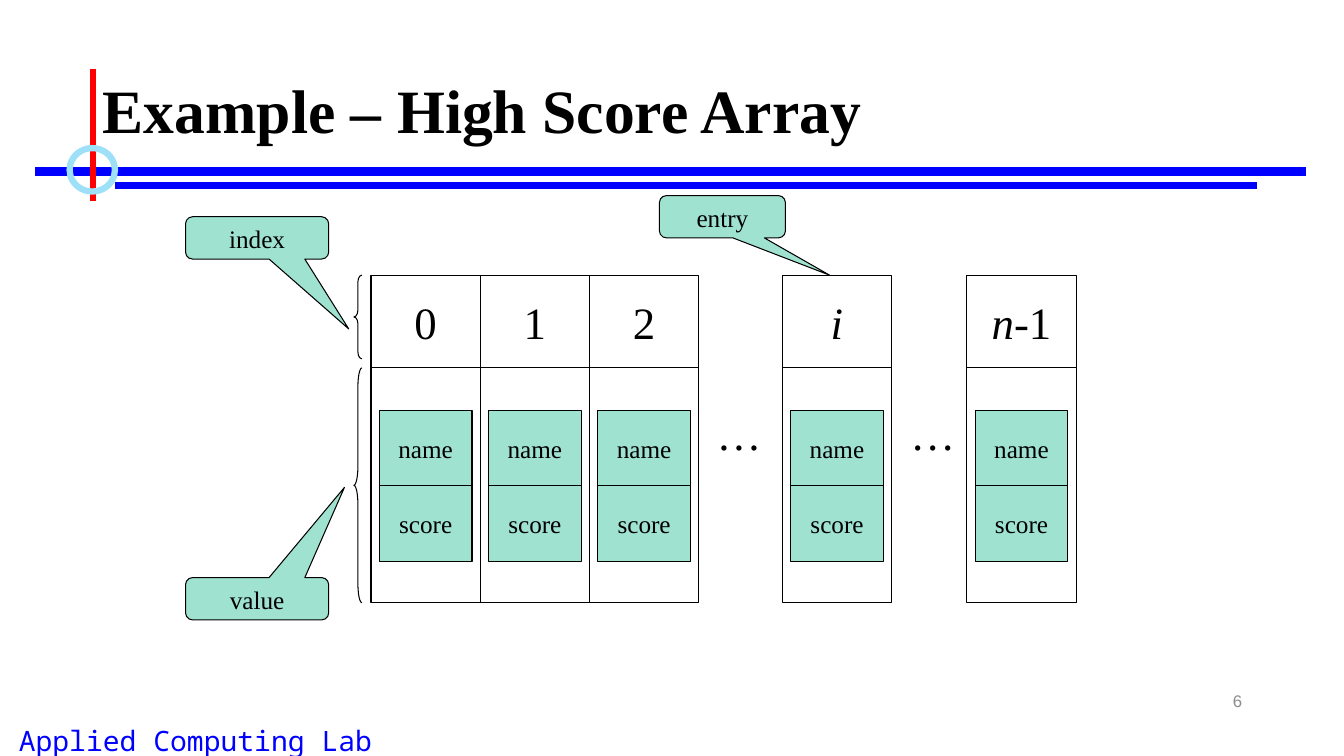
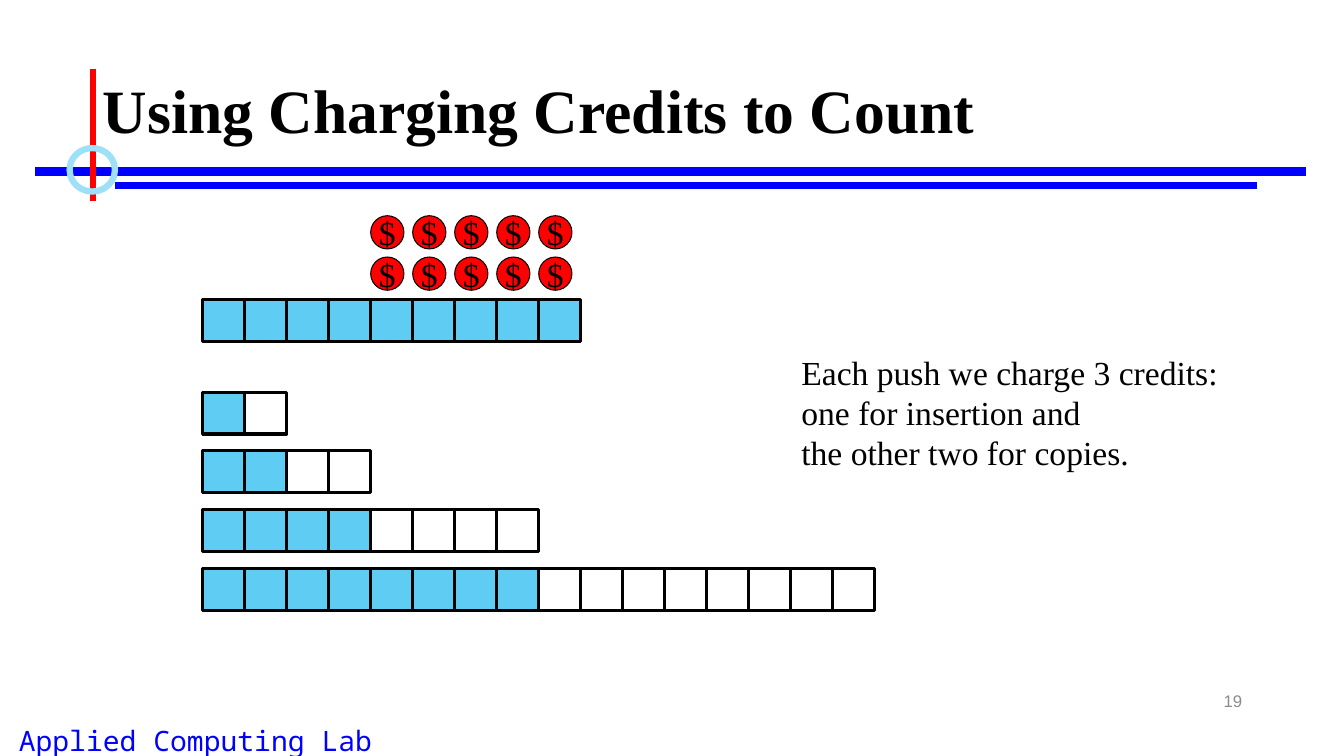
"""Build two slides on array storage and amortized push costs."""
from lxml.etree import SubElement
from pptx import Presentation
from pptx.dml.color import RGBColor
from pptx.enum.shapes import MSO_CONNECTOR as Connector, MSO_SHAPE as Shape
from pptx.enum.text import MSO_ANCHOR as Anchor, MSO_AUTO_SIZE as AutoSize, PP_ALIGN as Align
from pptx.oxml.ns import qn
from pptx.util import Inches, Pt

BLACK = RGBColor(0x00, 0x00, 0x00)
BLUE = RGBColor(0x00, 0x00, 0xFF)
RED = RGBColor(0xFF, 0x00, 0x00)
PALE_BLUE = RGBColor(0x9E, 0xE0, 0xF8)
SKY = RGBColor(0x5E, 0xCC, 0xF3)
MINT = RGBColor(0x9E, 0xE2, 0xCF)
GRAY = RGBColor(0x8C, 0x8C, 0x8C)

SERIF = "Times New Roman"
TITLE_ONLY = 5
TITLE_BOX = (0.92, 0.4, 11.5, 1.45)
FOOTER_BOX = (-0.58, 7.13, 5.04, 0.43)
NUMBER_BOX = (9.42, 6.75, 3, 0.4)
RULES = [
    ((0.35, 1.7), (12.95, 1.7), BLUE, 6),
    ((1.14, 1.84), (12.47, 1.84), BLUE, 4.5),
    ((0.92, 0.68), (0.92, 1.99), RED, 4.5),
]
RING_BOX = (0.69, 1.47, 0.45, 0.43)

INDEX_TOP, INDEX_HEIGHT = 2.73, 0.92
VALUE_TOP, VALUE_HEIGHT = 3.65, 2.33
ENTRY_WIDTH = 13 / 12
FIELD_TOP, FIELD_WIDTH, FIELD_HEIGHT = 4.07, 0.92, 0.75
ARRAY_LEFT = 3.68
BRACE_LEFT, BRACE_WIDTH = 3.51, 0.08

CELL = 5 / 12
CELLS_LEFT = 2.01
COIN = 0.33


def set_format(target, values):
    """Set every attribute named in a dict of format values."""
    for name, value in values.items():
        setattr(target, name, value)


def write_text(shape, paragraphs, size, color=BLACK, font=SERIF, bold=False,
               align=Align.CENTER, anchor=Anchor.MIDDLE, wrap=False, spacing=None):
    """Fill a shape with paragraphs, each a list of (text, italic) runs."""
    frame = shape.text_frame
    set_format(frame, {"auto_size": AutoSize.NONE, "word_wrap": wrap,
                       "vertical_anchor": anchor})
    for position, runs in enumerate(paragraphs):
        paragraph = frame.add_paragraph() if position else frame.paragraphs[0]
        set_format(paragraph, {"alignment": align, "line_spacing": spacing})
        for text, italic in runs:
            run = paragraph.add_run()
            run.text = text
            set_format(run.font, {"name": font, "size": Pt(size),
                                  "bold": bold, "italic": italic})
            run.font.color.rgb = color


def plain(text):
    """Return a paragraph with a single upright run."""
    return [(text, False)]


def add_text(slide, box, paragraphs, size, **style):
    """Add a text box."""
    text_box = slide.shapes.add_textbox(*map(Inches, box))
    write_text(text_box, paragraphs, size, **style)


def add_figure(slide, kind, box, fill=None, line=BLACK, width=0.75, adjustments=()):
    """Add a preset shape with a flat fill and outline."""
    shape = slide.shapes.add_shape(kind, *map(Inches, box))
    shape.shadow.inherit = False
    if fill is None:
        shape.fill.background()
    else:
        shape.fill.solid()
        shape.fill.fore_color.rgb = fill
    shape.line.color.rgb = line
    shape.line.width = Pt(width)
    for position, value in enumerate(adjustments):
        shape.adjustments[position] = value
    return shape


def add_rule(slide, start, end, color, width):
    """Add a straight line without a shadow."""
    rule = slide.shapes.add_connector(Connector.STRAIGHT, *map(Inches, start + end))
    rule.line.color.rgb = color
    rule.line.width = Pt(width)
    SubElement(rule.element.spPr, qn("a:effectLst"))


def add_base_slide(presentation, title, number):
    """Add a slide with its title, decoration, footer and number."""
    slide = presentation.slides.add_slide(presentation.slide_layouts[TITLE_ONLY])
    add_text(slide, FOOTER_BOX, [plain("Applied Computing Lab")], 20, color=BLUE,
             font="Noto Sans Mono", anchor=Anchor.TOP, wrap=True)
    for rule in RULES:
        add_rule(slide, *rule)
    add_figure(slide, Shape.OVAL, RING_BOX, line=PALE_BLUE, width=4.5)
    heading = slide.shapes.title
    set_format(heading, dict(zip(("left", "top", "width", "height"),
                                 map(Inches, TITLE_BOX))))
    write_text(heading, [plain(title)], 44, bold=True, align=Align.LEFT,
               wrap=True, spacing=0.9)
    add_text(slide, NUMBER_BOX, [plain(str(number))], 12, color=GRAY, font="Arial",
             align=Align.RIGHT, wrap=True)
    return slide


def add_callout(slide, text, box, pointer):
    """Add a rounded callout whose tip sits at the relative pointer."""
    callout = add_figure(slide, Shape.ROUNDED_RECTANGULAR_CALLOUT, box, MINT,
                         adjustments=(*pointer, 0.167))
    write_text(callout, [plain(text)], 18, anchor=Anchor.TOP, wrap=True)


def add_entry(slide, left, index_runs):
    """Add an array entry: its index above a record of name and score."""
    add_figure(slide, Shape.RECTANGLE, (left, VALUE_TOP, ENTRY_WIDTH, VALUE_HEIGHT))
    index = add_figure(slide, Shape.RECTANGLE, (left, INDEX_TOP, ENTRY_WIDTH, INDEX_HEIGHT))
    write_text(index, [index_runs], 32)
    field_left = left + (ENTRY_WIDTH - FIELD_WIDTH) / 2
    for row, label in enumerate(("name", "score")):
        top = FIELD_TOP + row * FIELD_HEIGHT
        field = add_figure(slide, Shape.RECTANGLE,
                           (field_left, top, FIELD_WIDTH, FIELD_HEIGHT), MINT)
        write_text(field, [plain(label)], 18)


def add_cells(slide, top, filled, total):
    """Add a row of array cells, the first ones filled."""
    for column in range(total):
        add_figure(slide, Shape.RECTANGLE,
                   (CELLS_LEFT + column * CELL, top, CELL, CELL),
                   SKY if column < filled else None, width=2.25)


def build_score_array(presentation):
    """Build the slide on the high score array."""
    slide = add_base_slide(presentation, "Example – High Score Array", 6)
    for position in range(3):
        add_entry(slide, ARRAY_LEFT + position * ENTRY_WIDTH, plain(str(position)))
    add_entry(slide, 7.76, [("i", True)])
    add_entry(slide, 9.59, [("n", True), ("-1", False)])
    for left in (7.01, 8.93):
        add_text(slide, (left, 3.98, 0.65, 0.63), [plain("…")], 32,
                 align=Align.LEFT, anchor=Anchor.TOP)
    for top, height, curve in ((INDEX_TOP, 0.83, 0.83), (VALUE_TOP, VALUE_HEIGHT, 2.33)):
        add_figure(slide, Shape.LEFT_BRACE, (BRACE_LEFT, top, BRACE_WIDTH, height),
                   adjustments=(curve, 0.5))
    add_callout(slide, "index", (1.84, 2.15, 1.42, 0.42), (0.64, 2.15))
    add_callout(slide, "value", (1.84, 5.73, 1.42, 0.42), (0.61, -2.63))
    add_callout(slide, "entry", (6.54, 1.94, 1.25, 0.42), (0.85, 1.38))


def build_credit_count(presentation):
    """Build the slide on counting with credits."""
    slide = add_base_slide(presentation, "Using Charging Credits to Count", 19)
    add_cells(slide, 2.97, 9, 9)
    for row in range(4):
        filled = 2 ** row
        add_cells(slide, 3.89 + row * 7 / 12, filled, 2 * filled)
    for column in range(4, 9):
        for top in (2.14, 2.55):
            coin = add_figure(slide, Shape.OVAL,
                              (CELLS_LEFT + column * CELL, top, COIN, COIN), RED)
            write_text(coin, [plain("$")], 24)
    add_text(slide, (7.85, 3.44, 4.36, 1.31),
             [plain("Each push we charge 3 credits: one for insertion and "),
              plain("the other two for copies.")],
             24, align=Align.LEFT, anchor=Anchor.TOP, wrap=True)


def main():
    """Create and save the presentation."""
    presentation = Presentation()
    set_format(presentation, {"slide_width": Inches(13.33), "slide_height": Inches(7.5)})
    build_score_array(presentation)
    build_credit_count(presentation)
    presentation.save("out.pptx")


main()
